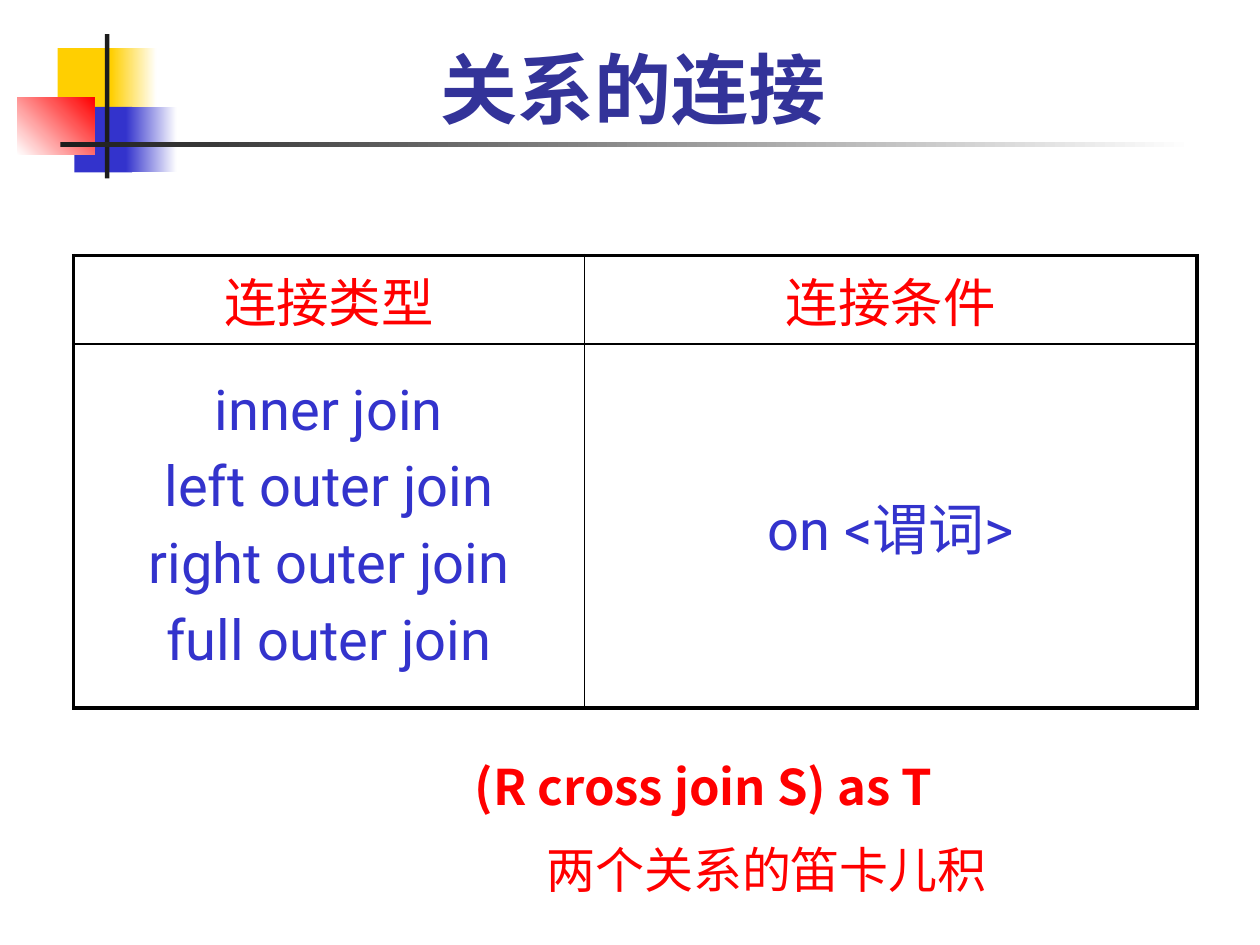
"""Build a slide on the join types and join conditions of relations."""
from dataclasses import dataclass

from lxml import etree
from pptx import Presentation
from pptx.dml.color import RGBColor
from pptx.enum import shapes, text
from pptx.oxml import ns
from pptx.util import Pt


@dataclass(frozen=True)
class Theme:
    latin: str = "Roboto"
    asian: str = "Noto Sans CJK SC"
    title: str = "333399"
    blue: str = "3333CC"
    red: str = "FF0000"
    yellow: str = "FFCF01"
    dark: str = "1C1C1C"
    white: str = "FFFFFF"
    rule: str = "000000"
    title_size: int = 44
    head_size: int = 30
    body_size: int = 32
    note_size: int = 28
    outer: float = 2.25
    inner: float = 1


def write(frame, content, *, size, color, latin, asian, bold=False, before=0.0,
          spacing=None, margins=(), anchor=text.MSO_ANCHOR.TOP):
    frame.word_wrap = True
    frame.vertical_anchor = anchor
    frame.text = content
    for paragraph in frame.paragraphs:
        paragraph.alignment = text.PP_ALIGN.CENTER
        paragraph.space_before = Pt(size * before)
        paragraph.line_spacing = spacing
        font = paragraph.runs[0].font
        font.size, font.bold, font.name = Pt(size), bold, latin
        font.color.rgb = RGBColor.from_string(color)
        east = etree.SubElement(font._element, ns.qn("a:ea"))
        east.set("typeface", asian)
    for paragraph, margin in zip(frame.paragraphs, margins):
        properties = paragraph._p.get_or_add_pPr()
        properties.set("marL", str(Pt(margin)))
        properties.set("indent", "0")


class SlideBuilder:
    def __init__(self, slide, theme):
        self.slide, self.theme = slide, theme

    def title(self, content, left, top, width, height):
        heading = self.slide.shapes.title
        heading.left, heading.top = Pt(left), Pt(top)
        heading.width, heading.height = Pt(width), Pt(height)
        self.slide.shapes._spTree.append(heading._element)
        write(heading.text_frame, content, size=self.theme.title_size,
              color=self.theme.title, latin=self.theme.latin,
              asian=self.theme.asian, bold=True, anchor=text.MSO_ANCHOR.BOTTOM)

    def block(self, left, top, width, height, *colors, angle=0):
        tile = self.slide.shapes.add_shape(
            shapes.MSO_SHAPE.RECTANGLE, Pt(left), Pt(top), Pt(width), Pt(height))
        tile.shadow.inherit = False
        tile.line.fill.background()
        if len(colors) == 1:
            tile.fill.solid()
            tile.fill.fore_color.rgb = RGBColor.from_string(colors[0])
            return
        tile.fill.gradient()
        tile.fill.gradient_angle = angle
        for stop, color in zip(tile.fill.gradient_stops, colors):
            stop.color.rgb = RGBColor.from_string(color)

    def borders(self, cell, widths):
        properties = cell._tc.get_or_add_tcPr()
        for index, (side, width) in enumerate(widths.items()):
            line = etree.Element(ns.qn(f"a:ln{side}"), w=str(Pt(width)))
            fill = etree.SubElement(line, ns.qn("a:solidFill"))
            etree.SubElement(fill, ns.qn("a:srgbClr"), val=self.theme.rule)
            properties.insert(index, line)

    def table(self, rows, left, top, widths, heights):
        theme = self.theme
        grid = self.slide.shapes.add_table(
            len(heights), len(widths), Pt(left), Pt(top),
            Pt(sum(widths)), Pt(sum(heights))).table
        grid.first_row = grid.horz_banding = False
        for column, width in zip(grid.columns, widths):
            column.width = Pt(width)
        for row, height in zip(grid.rows, heights):
            row.height = Pt(height)
        last_row, last_column = len(heights) - 1, len(widths) - 1
        for r, row in enumerate(rows):
            size, color = ((theme.body_size, theme.blue) if r
                           else (theme.head_size, theme.red))
            for c, content in enumerate(row):
                cell = grid.cell(r, c)
                cell.fill.background()
                cell.vertical_anchor = text.MSO_ANCHOR.MIDDLE
                write(cell.text_frame, content, size=size, color=color,
                      latin=theme.latin, asian=theme.asian, before=0.2,
                      anchor=text.MSO_ANCHOR.MIDDLE)
                edges = {"L": c == 0, "R": c == last_column,
                         "T": r == 0, "B": r == last_row}
                self.borders(cell, {side: theme.outer if edge else theme.inner
                                    for side, edge in edges.items()})

    def note(self, lines, margins, left, top, width, height):
        frame = self.slide.shapes.add_textbox(
            Pt(left), Pt(top), Pt(width), Pt(height)).text_frame
        write(frame, "\n".join(lines), size=self.theme.note_size,
              color=self.theme.red, latin=self.theme.asian,
              asian=self.theme.asian, before=0.25, spacing=1.2, margins=margins)
        frame.paragraphs[0].runs[0].font.bold = True


def main():
    deck = Presentation()
    deck.slide_width, deck.slide_height = Pt(720), Pt(540)
    theme = Theme()
    page = SlideBuilder(deck.slides.add_slide(deck.slide_layouts[5]), theme)

    page.block(33, 27.5, 34.5, 37.5, theme.yellow)
    page.block(63.5, 27.5, 26, 37.5, theme.yellow, theme.white)
    page.block(42.5, 61, 33, 37.5, theme.blue)
    page.block(72, 61, 29, 37.5, theme.blue, theme.white)
    page.block(10, 55.5, 44, 33, theme.white, theme.red, angle=45)
    page.block(60, 19.5, 2.5, 82.5, theme.dark)
    page.block(34.5, 81.3, 648, 2.5, theme.dark, theme.white)

    page.title("关系的连接", 28, 13, 668, 67)
    joins = ("inner join", "left outer join", "right outer join", "full outer join")
    page.table([("连接类型", "连接条件"), ("\n".join(joins), "on <谓词>")],
               42, 146, widths=(292, 350), heights=(50, 208))
    page.note(("(R cross join S) as T", "两个关系的笛卡儿积"), (36, 108),
              158, 422, 452, 97)
    deck.save("out.pptx")


if __name__ == "__main__":
    main()
